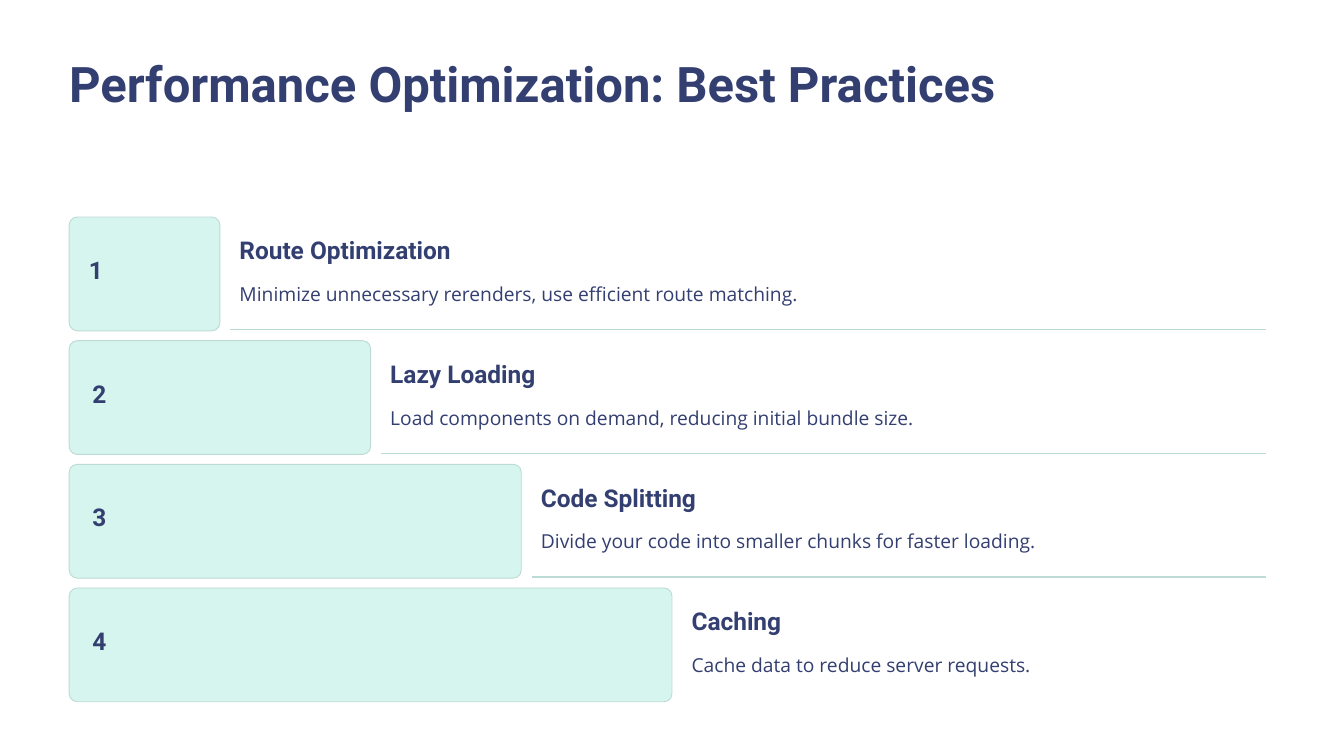
from lxml.etree import SubElement
from pptx import Presentation
from pptx.dml.color import RGBColor as Rgb
from pptx.enum.shapes import MSO_CONNECTOR as Link, MSO_SHAPE as Kind
from pptx.enum.text import PP_ALIGN as Align
from pptx.oxml.ns import qn
from pptx.util import Inches, Pt

COLORS = {"ink": "333F70", "mint": "D6F5EE", "edge": "BCDBD4", "page": "FFFFFF"}
LEFT, TOP = 1.03, 3.23
COL, ROW = 17.94 / 8, 1.84

STEPS = [
    ("Route Optimization", "Minimize unnecessary rerenders, use efficient route matching.", 0.08, 2, 3.81),
    ("Lazy Loading", "Load components on demand, reducing initial bundle size.", 0.14, 1.64, 3.57),
    ("Code Splitting", "Divide your code into smaller chunks for faster loading.", 0.14, 1.64, 3.37),
    ("Caching", "Cache data to reduce server requests.", 0.14, 1.64, 2.31),
]


def color(name):
    return Rgb.from_string(COLORS[name])


class Deck:
    def __init__(self):
        self.show = Presentation()
        self.show.slide_width = Inches(20)
        self.show.slide_height = Inches(11.25)
        self.slide = self.show.slides.add_slide(self.show.slide_layouts[6])
        fill = self.slide.background.fill
        fill.solid()
        fill.fore_color.rgb = color("page")

    def spot(self, col, row):
        return Inches(LEFT + col * COL), Inches(TOP + row * ROW)

    def area(self, col, row, cols, rows):
        return *self.spot(col, row), Inches(cols * COL), Inches(rows * ROW)

    def text(self, words, area, size, lead, font="Roboto", bold=True, align=Align.LEFT):
        frame = self.slide.shapes.add_textbox(*self.area(*area)).text_frame
        frame.word_wrap = True
        frame.margin_left = frame.margin_right = 0
        frame.margin_top = frame.margin_bottom = 0
        para = frame.paragraphs[0]
        para.text = words
        para.alignment = align
        para.line_spacing = Pt(lead)
        para.font.name = font
        para.font.size = Pt(size)
        para.font.bold = bold
        para.font.color.rgb = color("ink")

    def bar(self, area):
        shape = self.slide.shapes.add_shape(Kind.ROUNDED_RECTANGLE, *self.area(*area))
        shape.adjustments[0] = 0.07
        shape.shadow.inherit = False
        shape.fill.solid()
        shape.fill.fore_color.rgb = color("mint")
        shape.line.color.rgb = color("edge")
        shape.line.width = Pt(1)

    def rule(self, start, end, row):
        line = self.slide.shapes.add_connector(
            Link.STRAIGHT, *self.spot(start, row), *self.spot(end, row))
        line.line.color.rgb = color("edge")
        line.line.width = Pt(1.5)
        SubElement(line._element.spPr, qn("a:effectLst"))


def main():
    deck = Deck()
    deck.text("Performance Optimization: Best Practices", (0, -1.34, 8, 1.03), 52.5, 65.6)
    for row, (head, body, digit, wide, span) in enumerate(STEPS):
        edge = row + 1
        deck.bar((0, row, edge, 0.92))
        deck.text(str(edge), (0.13, row + 0.23, digit, 0.39), 26.2, 41.9, align=Align.CENTER)
        deck.text(head, (edge + 0.13, row + 0.14, wide, 0.27), 26.2, 32.5)
        deck.text(body, (edge + 0.13, row + 0.46, span, 0.3), 20.6, 33.7, "Open Sans", False)
        if edge < len(STEPS):
            deck.rule(edge + 0.07, 7.94, row + 0.91)
    deck.show.save("out.pptx")


if __name__ == "__main__":
    main()
